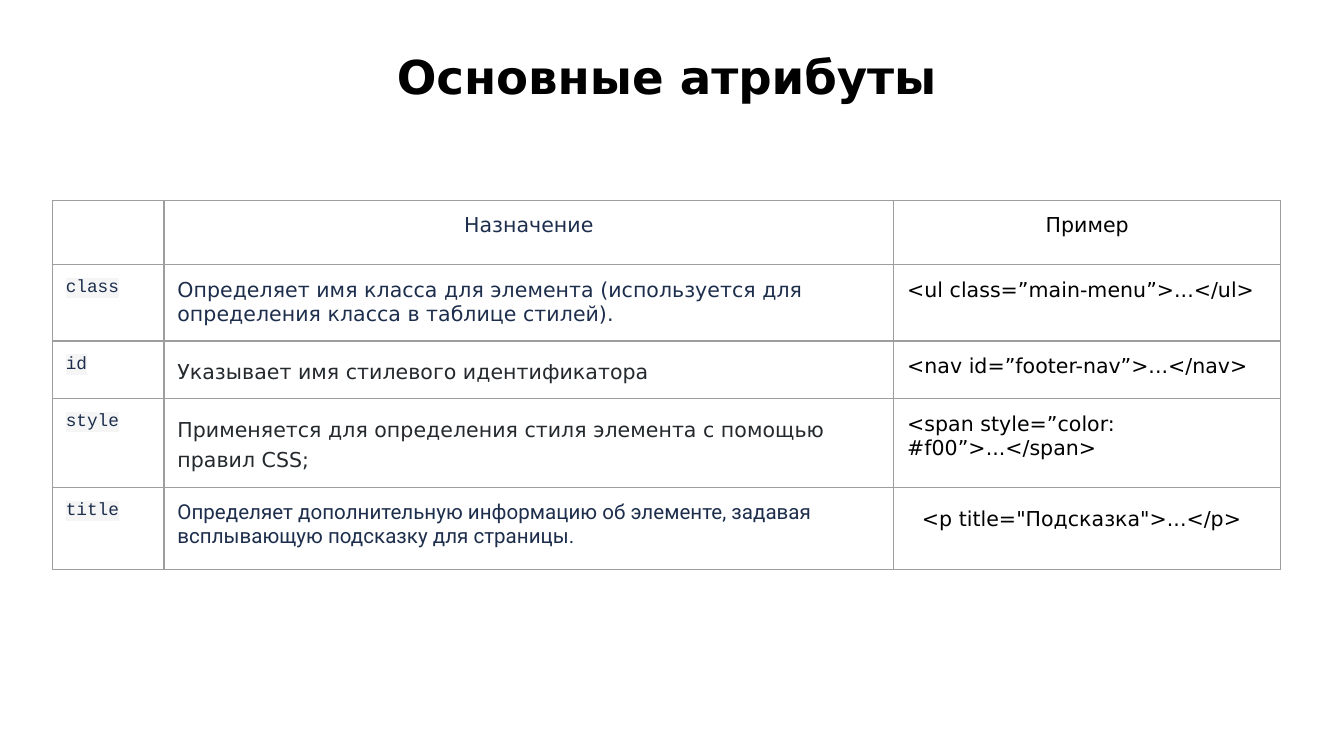
from lxml import etree
from pptx import Presentation
from pptx.dml.color import RGBColor
from pptx.enum.text import PP_ALIGN
from pptx.oxml.ns import qn
from pptx.util import Inches, Pt

CENTER, LEFT = PP_ALIGN.CENTER, PP_ALIGN.LEFT

# Content
TITLE = "Основные атрибуты"
HEADER = ("", "Назначение", "Пример")
ATTRIBUTES = [
    ("class",
     "Определяет имя класса для элемента (используется для определения класса в таблице стилей).",
     "<ul class=”main-menu”>...</ul>"),
    ("id", "Указывает имя стилевого идентификатора", "<nav id=”footer-nav”>...</nav>"),
    ("style", "Применяется для определения стиля элемента с помощью правил CSS;",
     "<span style=”color: #f00”>...</span>"),
    ("title",
     "Определяет дополнительную информацию об элементе, задавая всплывающую подсказку для страницы.",
     '<p title="Подсказка">...</p>'),
]

# Theme: each text style is font, size, colour, highlight
BLACK, NAVY, GRAPHITE = "000000", "1D2E4C", "24292E"
WHITE, PALE, GRID = "FFFFFF", "F5F5F5", "9E9E9E"
SANS = "DejaVu Sans"
THEME = {
    "title": (SANS, 25, BLACK, None),
    "code": ("Courier New", 9.5, NAVY, PALE),
    "purpose": (SANS, 11, NAVY, WHITE),
    "plain purpose": (SANS, 11, GRAPHITE, None),
    "roboto purpose": ("Roboto", 11, NAVY, WHITE),
    "example": (SANS, 11, BLACK, None),
}
COLUMN_STYLES = ("code", "purpose", "example")
# Cells (row, column) that depart from their column
STYLE_EXCEPTIONS = {(2, 1): "plain purpose", (3, 1): "plain purpose", (4, 1): "roboto purpose"}
LINE_SPACING = {(2, 1): 1.25, (3, 1): 1.25, (4, 2): 1.3}
INDENTED = {(4, 2): 0.11}

# Layout, in inches; the slide is 16:9 and rows grow with their text
SLIDE_W = 10
SLIDE_H = SLIDE_W * 9 / 16
TABLE_LEFT, TABLE_TOP = 0.39, 1.49
COLUMNS = (0.83, 5.43, 2.88)
ROWS = (0.48, 0.42, 0.42, 0.42, 0.61)
INSET = Inches(0.1)


def write(frame, text, style, align=LEFT, bold=False):
    font_name, size, colour, highlight = THEME[style]
    paragraph = frame.paragraphs[0]
    paragraph.alignment = align
    font = paragraph.font
    font.name, font.size, font.bold = font_name, Pt(size), bold
    font.color.rgb = RGBColor.from_string(colour)
    if text:
        run = paragraph.add_run()
        run.text = text
        if highlight:
            mark = etree.SubElement(run._r.get_or_add_rPr(), qn("a:highlight"))
            etree.SubElement(mark, qn("a:srgbClr"), val=highlight)
    return paragraph


def draw_borders(cell):
    properties = cell._tc.get_or_add_tcPr()
    for position, side in enumerate(("lnL", "lnR", "lnT", "lnB")):
        line = etree.Element(qn(f"a:{side}"), w=str(Pt(0.75)))
        fill = etree.SubElement(line, qn("a:solidFill"))
        etree.SubElement(fill, qn("a:srgbClr"), val=GRID)
        properties.insert(position, line)


presentation = Presentation()
presentation.slide_width, presentation.slide_height = Inches(SLIDE_W), Inches(SLIDE_H)
slide = presentation.slides.add_slide(presentation.slide_layouts[6])

# Title
heading = slide.shapes.add_textbox(Inches(0.3), Inches(0.26), Inches(9.32), Inches(0.63)).text_frame
heading.word_wrap = True
heading.margin_left = heading.margin_right = heading.margin_top = heading.margin_bottom = INSET
write(heading, TITLE, "title", CENTER, bold=True)

# Attribute table
attributes = slide.shapes.add_table(
    len(ROWS), len(COLUMNS), Inches(TABLE_LEFT), Inches(TABLE_TOP),
    Inches(sum(COLUMNS)), Inches(sum(ROWS))).table
attributes.first_row = attributes.horz_banding = False
for column, width in zip(attributes.columns, COLUMNS):
    column.width = Inches(width)
for row, height in zip(attributes.rows, ROWS):
    row.height = Inches(height)

for r, texts in enumerate([HEADER, *ATTRIBUTES]):
    for c, text in enumerate(texts):
        cell = attributes.cell(r, c)
        cell.margin_left = cell.margin_right = cell.margin_top = cell.margin_bottom = INSET
        cell.fill.background()
        draw_borders(cell)
        style = STYLE_EXCEPTIONS.get((r, c), COLUMN_STYLES[c])
        paragraph = write(cell.text_frame, text, style, CENTER if r == 0 else LEFT)
        if (r, c) in LINE_SPACING:
            paragraph.line_spacing = LINE_SPACING[r, c]
        if (r, c) in INDENTED:
            paragraph._p.get_or_add_pPr().set("marL", str(Inches(INDENTED[r, c])))

presentation.save("out.pptx")
